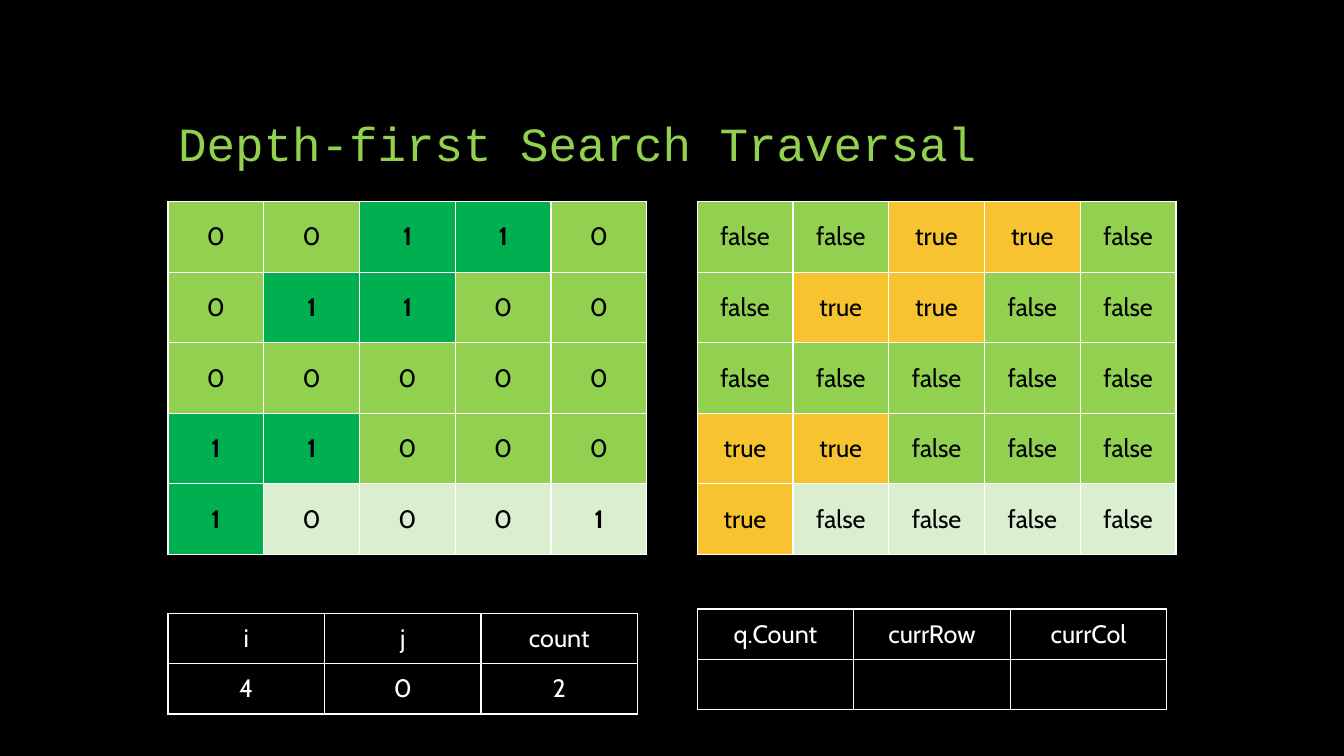
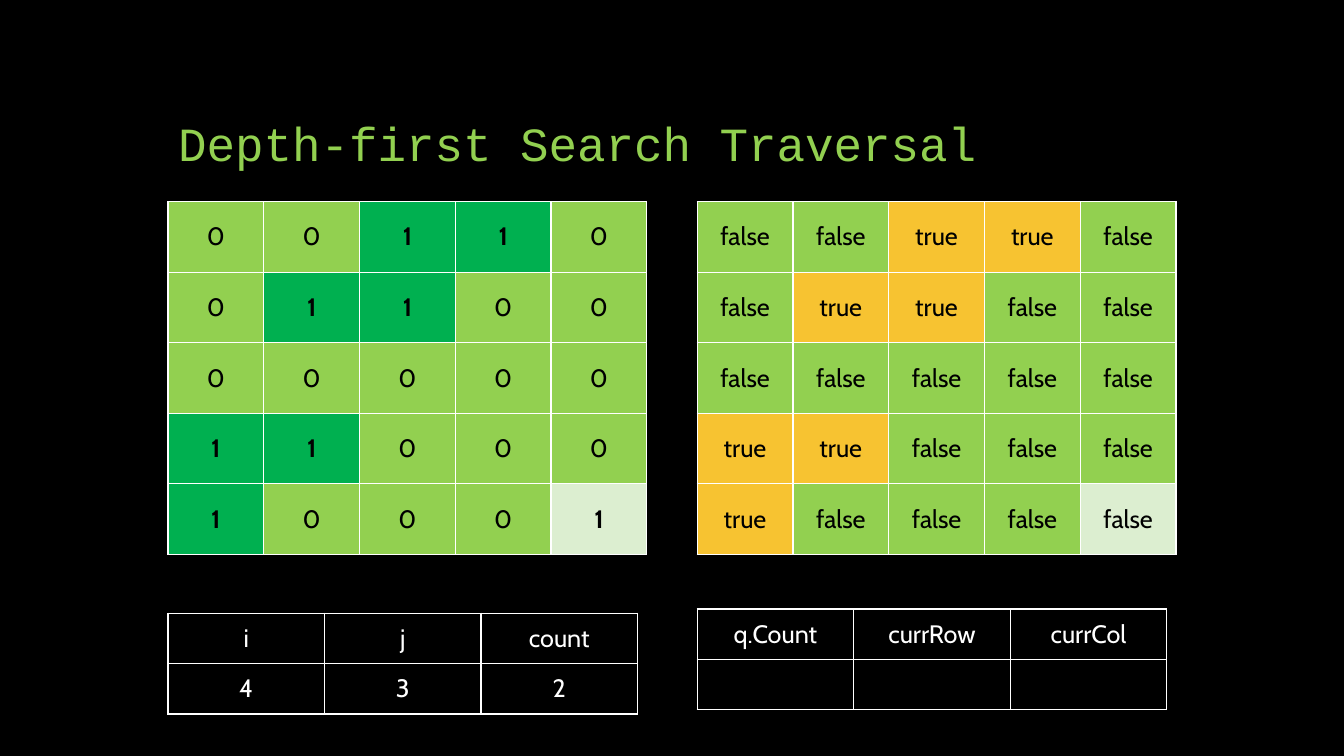
"""Build two steps of a depth-first search over a grid."""
from dataclasses import dataclass

from lxml.etree import SubElement
from pptx import Presentation
from pptx.dml.color import RGBColor
from pptx.enum.text import MSO_ANCHOR, MSO_AUTO_SIZE, PP_ALIGN
from pptx.oxml.ns import qn
from pptx.util import Pt

TITLE = "Depth-first Search Traversal"
GRID = ["00110", "01100", "00000", "11000", "10001"]
VISITED = ["00110", "01100", "00000", "11000", "10000"]
STEPS = [{"i": 4, "j": 0, "count": 2}, {"i": 4, "j": 3, "count": 2}]
QUEUE = [["q.Count", "currRow", "currCol"], ["", "", ""]]

LEFT, RIGHT = 120, 498
GRID_TOP, STATE_TOP, QUEUE_TOP = 144, 438, 435
GRID_CELL = (68.4, 50.4)
STATE_CELL = (111.8, 36)


@dataclass(frozen=True)
class Theme:
    background: str = "000000"
    scanned: str = "92D050"
    island: str = "00B050"
    visited: str = "F7C331"
    unseen: str = "DCEED0"
    dark: str = "000000"
    light: str = "FFFFFF"
    title_font: str = "Courier New"
    body_font: str = "Cabin"
    title_size: int = 34
    body_size: int = 18
    border: int = 1


THEME = Theme()


def style_text(frame, font, size, color, align, bold=False):
    for paragraph in frame.paragraphs:
        paragraph.alignment = align
        for run in paragraph.runs:
            run.font.name = font
            run.font.size = Pt(size)
            run.font.bold = bold
            run.font.color.rgb = RGBColor.from_string(color)


def add_borders(cell):
    properties = cell._tc.get_or_add_tcPr()
    for side in ("lnL", "lnR", "lnT", "lnB"):
        line = SubElement(properties, qn(f"a:{side}"), w=str(Pt(THEME.border)))
        fill = SubElement(line, qn("a:solidFill"))
        SubElement(fill, qn("a:srgbClr"), val=THEME.light)


def add_grid(slide, left, top, cell_size, texts, fills=None):
    width, height = cell_size
    row_count, column_count = len(texts), len(texts[0])
    table = slide.shapes.add_table(
        row_count, column_count, Pt(left), Pt(top),
        Pt(width * column_count), Pt(height * row_count)).table
    table.first_row = table.horz_banding = False
    for column in table.columns:
        column.width = Pt(width)
    for row in table.rows:
        row.height = Pt(height)
    for r, row_texts in enumerate(texts):
        for c, text in enumerate(row_texts):
            cell = table.cell(r, c)
            cell.text_frame.text = text
            cell.vertical_anchor = MSO_ANCHOR.MIDDLE
            add_borders(cell)
            if fills:
                cell.fill.solid()
                cell.fill.fore_color.rgb = RGBColor.from_string(fills[r][c])
            else:
                cell.fill.background()
            bold = bool(fills) and text == "1"
            style_text(cell.text_frame, THEME.body_font, THEME.body_size,
                       THEME.dark if fills else THEME.light,
                       PP_ALIGN.CENTER, bold)


def grid_fills(step, visited_color):
    def fill(r, c, mark):
        if mark == "1":
            return visited_color
        reached = (r, c) <= (step["i"], step["j"])
        return THEME.scanned if reached else THEME.unseen

    return [[fill(r, c, mark) for c, mark in enumerate(row)]
            for r, row in enumerate(VISITED)]


def add_title(slide):
    title = slide.shapes.title
    title.left, title.top = Pt(LEFT), Pt(36)
    title.width, title.height = Pt(720), Pt(90)
    frame = title.text_frame
    frame.text = TITLE
    frame.word_wrap = True
    frame.auto_size = MSO_AUTO_SIZE.NONE
    frame.vertical_anchor = MSO_ANCHOR.BOTTOM
    frame.paragraphs[0].line_spacing = 0.9
    style_text(frame, THEME.title_font, THEME.title_size, THEME.scanned,
               PP_ALIGN.LEFT)


def add_step(deck, step):
    slide = deck.slides.add_slide(deck.slide_layouts.get_by_name("Title Only"))
    add_title(slide)
    flags = [["true" if mark == "1" else "false" for mark in row]
             for row in VISITED]
    state = [list(step), [str(value) for value in step.values()]]
    add_grid(slide, LEFT, GRID_TOP, GRID_CELL, GRID,
             grid_fills(step, THEME.island))
    add_grid(slide, RIGHT, GRID_TOP, GRID_CELL, flags,
             grid_fills(step, THEME.visited))
    add_grid(slide, LEFT, STATE_TOP, STATE_CELL, state)
    add_grid(slide, RIGHT, QUEUE_TOP, STATE_CELL, QUEUE)


def main():
    deck = Presentation()
    deck.slide_width, deck.slide_height = Pt(960), Pt(540)
    backdrop = deck.slide_master.background.fill
    backdrop.solid()
    backdrop.fore_color.rgb = RGBColor.from_string(THEME.background)
    for step in STEPS:
        add_step(deck, step)
    deck.save("out.pptx")


if __name__ == "__main__":
    main()
